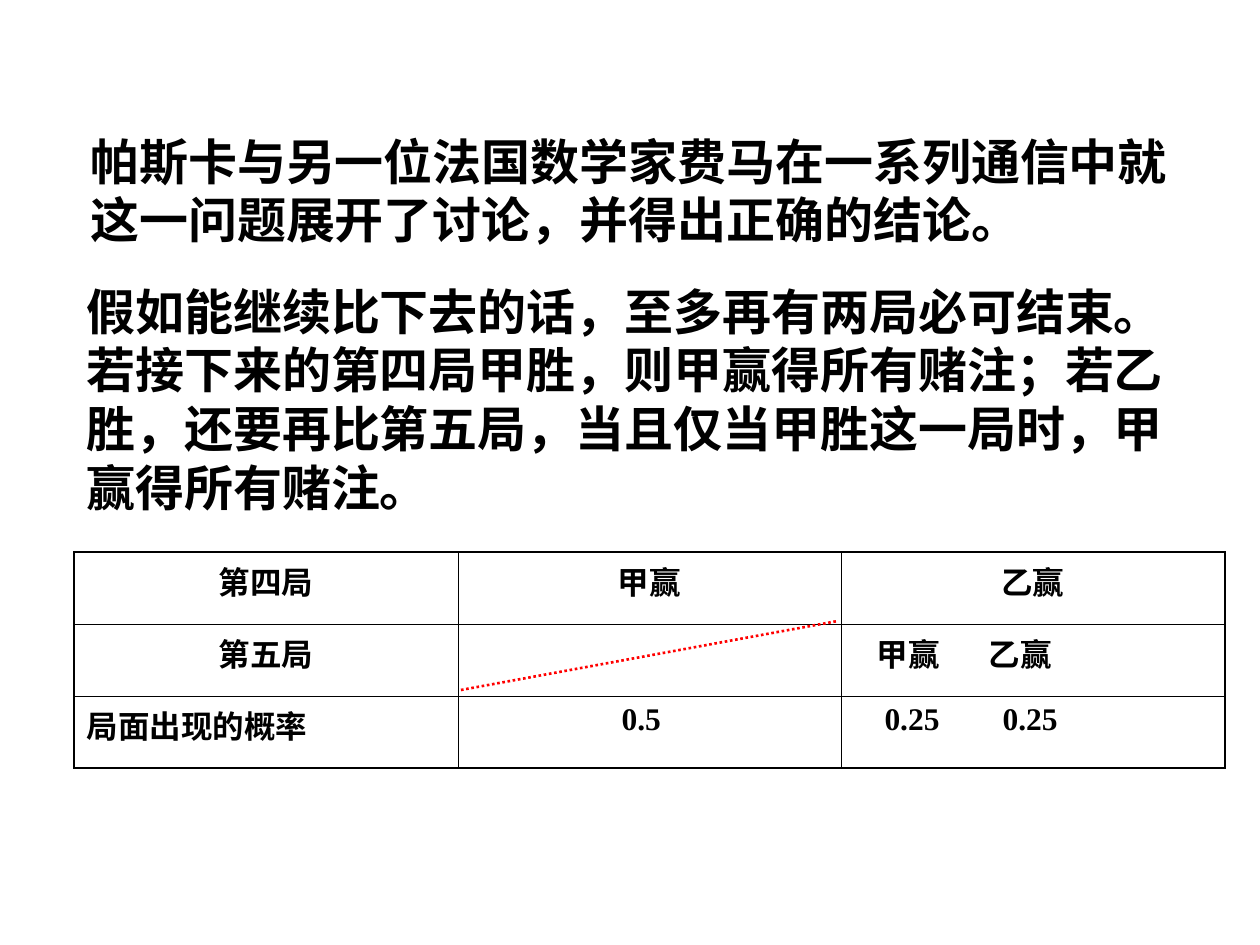
import pptx
import pptx.dml.color
import pptx.enum.dml
import pptx.enum.shapes
import pptx.enum.text
import pptx.oxml
import pptx.oxml.ns
import pptx.util
from lxml import etree

PX = 914400 // 126
BLACK = pptx.dml.color.RGBColor(0x00, 0x00, 0x00)
RED = pptx.dml.color.RGBColor(0xFF, 0x00, 0x00)
CJK_FONT, LATIN_FONT = "Noto Sans CJK SC", "Times New Roman"
CENTER = pptx.enum.text.PP_ALIGN.CENTER
LEFT = pptx.enum.text.PP_ALIGN.LEFT

# Content: paragraphs as (left, top, width, height, text)
PARAGRAPHS = [
    (78, 125, 1131, 131,
     "帕斯卡与另一位法国数学家费马在一系列通信中就这一问题展开了讨论，并得出正确的结论。"),
    (74, 275, 1131, 248,
     "假如能继续比下去的话，至多再有两局必可结束。若接下来的第四局甲胜，则甲赢得所有赌注；"
     "若乙胜，还要再比第五局，当且仅当甲胜这一局时，甲赢得所有赌注。"),
]

# Content: table cells as (text, alignment, tab stops)
OUTCOMES = [
    [("第四局", CENTER, ()), ("甲赢", CENTER, ()), ("乙赢", CENTER, ())],
    [("第五局", CENTER, ()), ("", CENTER, ()), ("\t甲赢\t乙赢", LEFT, (23, 135))],
    [("局面出现的概率", LEFT, ()), ("0.5", CENTER, ()), ("\t0.25\t0.25", LEFT, (31, 149))],
]
TABLE_LEFT, TABLE_TOP, ROW_HEIGHT = 74, 552, 72
COLUMN_WIDTHS = (384, 383, 384)
STRIKE = (461, 690, 838, 621)
THIN, THICK = 0.45, 1.08


def px(*lengths):
    return [length * PX for length in lengths]


def add_run(paragraph, text, size, latin):
    run = paragraph.add_run()
    run.text = text
    run.font.size = pptx.util.Pt(size)
    run.font.bold = True
    run.font.color.rgb = BLACK
    run.font.name = latin
    east_asian = etree.SubElement(run.font._element, pptx.oxml.ns.qn("a:ea"))
    east_asian.set("typeface", CJK_FONT)


def add_tabs(paragraph, stops):
    tabs = etree.SubElement(paragraph._p.get_or_add_pPr(), pptx.oxml.ns.qn("a:tabLst"))
    for stop in stops:
        etree.SubElement(tabs, pptx.oxml.ns.qn("a:tab"), pos=str(stop * PX), algn="l")


def add_borders(cell, widths):
    for side, points in zip("LRTB", widths):
        cell._tc.get_or_add_tcPr().append(pptx.oxml.parse_xml(
            f'<a:ln{side} {pptx.oxml.ns.nsdecls("a")} w="{pptx.util.Pt(points)}">'
            f'<a:solidFill><a:srgbClr val="{BLACK}"/></a:solidFill></a:ln{side}>'))


presentation = pptx.Presentation()
presentation.slide_width, presentation.slide_height = px(1260, 945)
slide = presentation.slides.add_slide(presentation.slide_layouts[6])

# Explanatory paragraphs
for *box, text in PARAGRAPHS:
    frame = slide.shapes.add_textbox(*px(*box)).text_frame
    frame.word_wrap = True
    frame.paragraphs[0].line_spacing = pptx.util.Pt(33.6)
    add_run(frame.paragraphs[0], text, 28, CJK_FONT)

# Outcome table
last_row, last_column = len(OUTCOMES) - 1, len(COLUMN_WIDTHS) - 1
table = slide.shapes.add_table(
    len(OUTCOMES), len(COLUMN_WIDTHS),
    *px(TABLE_LEFT, TABLE_TOP, sum(COLUMN_WIDTHS), ROW_HEIGHT * len(OUTCOMES))).table
table.first_row = table.horz_banding = False
for column, width in zip(table.columns, COLUMN_WIDTHS):
    column.width = width * PX
for r, row in enumerate(OUTCOMES):
    table.rows[r].height = ROW_HEIGHT * PX
    for c, (text, alignment, stops) in enumerate(row):
        cell = table.cell(r, c)
        outer_edges = (c == 0, c == last_column, r == 0, r == last_row)
        add_borders(cell, [THICK if outer else THIN for outer in outer_edges])
        cell.fill.background()
        paragraph = cell.text_frame.paragraphs[0]
        paragraph.alignment = alignment
        if stops:
            add_tabs(paragraph, stops)
        if text:
            add_run(paragraph, text, 18, LATIN_FONT)
# The single probability sits a little left of centre
table.cell(2, 1).margin_right = 29 * PX

# Strike through the round that is not played
strike = slide.shapes.add_connector(pptx.enum.shapes.MSO_CONNECTOR.STRAIGHT, *px(*STRIKE))
strike.line.color.rgb = RED
strike.line.width = pptx.util.Pt(1.5)
strike.line.dash_style = pptx.enum.dml.MSO_LINE.ROUND_DOT
etree.SubElement(strike._element.spPr, pptx.oxml.ns.qn("a:effectLst"))

presentation.save("out.pptx")
